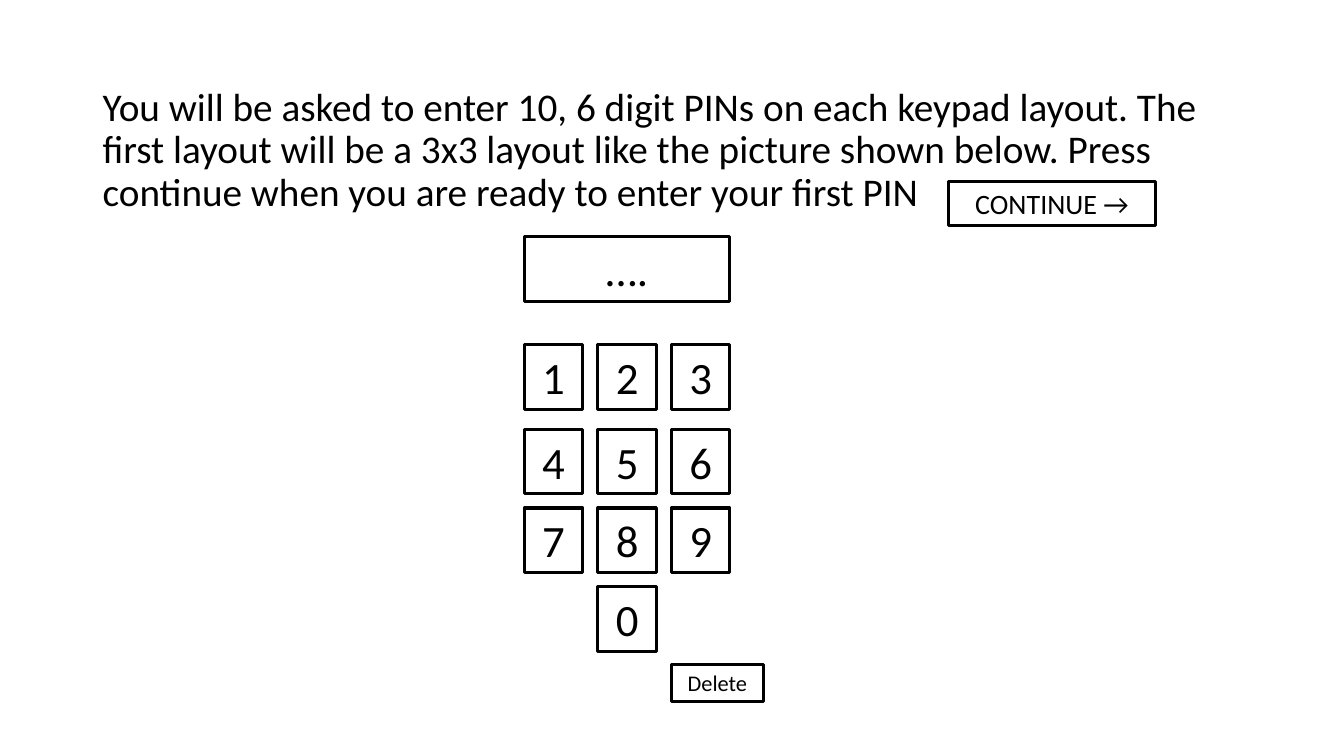
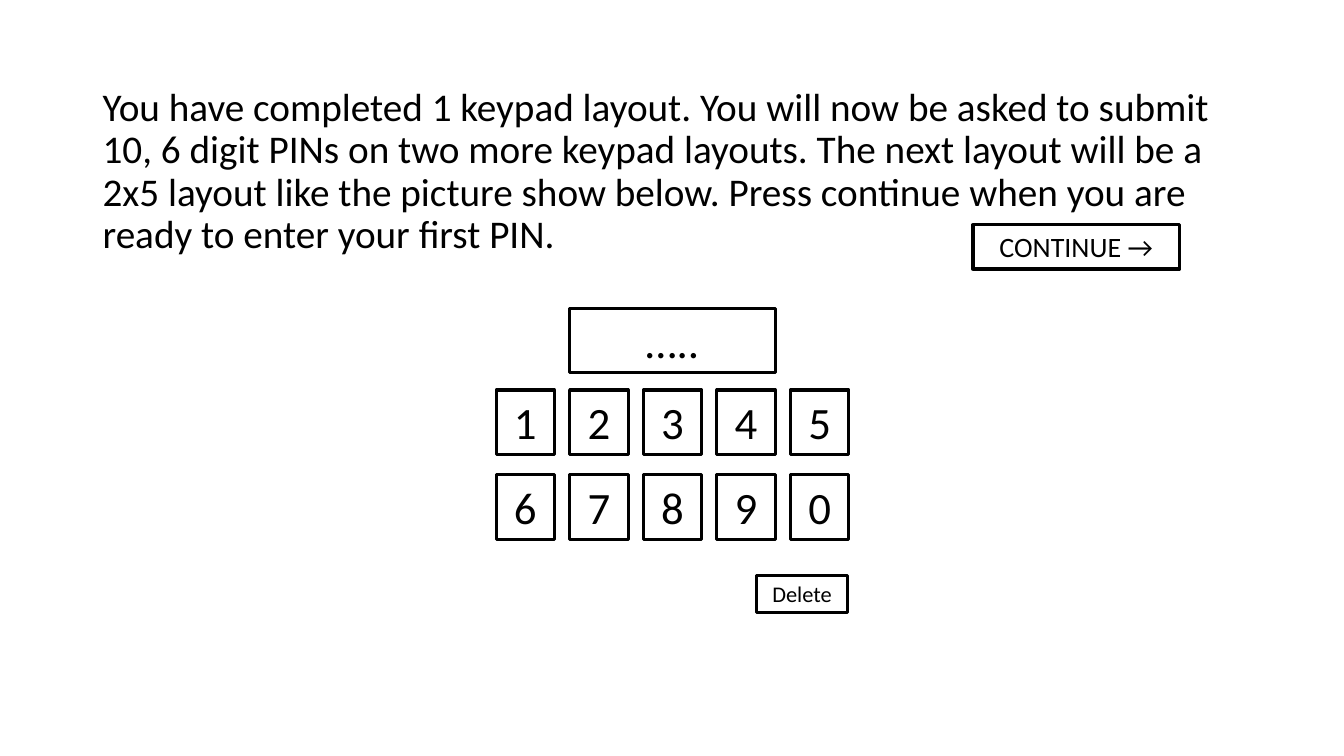
"""Build two slides that introduce the 3x3 and 2x5 PIN keypads."""
from dataclasses import dataclass

from pptx import Presentation
from pptx.dml.color import RGBColor
from pptx.enum.text import MSO_AUTO_SIZE, PP_ALIGN
from pptx.slide import Slide
from pptx.text.text import TextFrame
from pptx.util import Inches, Pt

BLACK = RGBColor(0, 0, 0)
FONT = "Calibri"
STEP = 0.73
KEY_W, KEY_H = 0.58, 0.64


@dataclass(frozen=True)
class Box:
    text: str
    left: float
    top: float
    width: float
    height: float
    size: int = 32


@dataclass(frozen=True)
class Row:
    keys: str
    top: float
    skip: int = 0


@dataclass(frozen=True)
class Page:
    prompt: str
    left: float
    rows: tuple[Row, ...]
    boxes: tuple[Box, ...]


def display(text: str, left: float, top: float) -> Box:
    return Box(text, left, top, 2.04, KEY_H)


def delete(left: float, top: float) -> Box:
    return Box("Delete", left, top, 0.91, 0.37, 16)


def button(left: float, top: float) -> Box:
    return Box("CONTINUE →", left, top, 2.05, 0.44, 20)


PAGES = (
    Page(
        "You will be asked to enter 10, 6 digit PINs on each keypad layout. "
        "The first layout will be a 3x3 layout like the picture shown below. "
        "Press continue when you are ready to enter your first PIN",
        5.2,
        (Row("123", 3.42), Row("456", 4.26), Row("789", 5.04), Row("0", 5.82, 1)),
        (display("….", 5.2, 2.35), delete(6.66, 6.59), button(9.41, 1.8)),
    ),
    Page(
        "You have completed 1 keypad layout. You will now be asked to submit "
        "10, 6 digit PINs on two more keypad layouts. The next layout will be "
        "a 2x5 layout like the picture show below. Press continue when you are "
        "ready to enter your first PIN.",
        4.92,
        (Row("12345", 3.87), Row("67890", 4.71)),
        (display("…..", 5.65, 3.06), delete(7.5, 5.71), button(9.65, 2.23)),
    ),
)


def write(frame: TextFrame, text: str, size: int) -> None:
    frame.word_wrap = True
    run = frame.paragraphs[0].add_run()
    run.text = text
    run.font.name = FONT
    run.font.size = Pt(size)
    run.font.color.rgb = BLACK


def draw_box(slide: Slide, box: Box) -> None:
    shape = slide.shapes.add_textbox(
        Inches(box.left), Inches(box.top), Inches(box.width), Inches(box.height)
    )
    shape.line.color.rgb = BLACK
    shape.line.width = Pt(2.25)
    frame = shape.text_frame
    write(frame, box.text, box.size)
    frame.auto_size = MSO_AUTO_SIZE.SHAPE_TO_FIT_TEXT
    frame.paragraphs[0].alignment = PP_ALIGN.CENTER


def draw_prompt(slide: Slide, text: str) -> None:
    shape = slide.shapes.add_textbox(
        Inches(0.92), Inches(0.82), Inches(11.5), Inches(5.94)
    )
    write(shape.text_frame, text, 28)
    para = shape.text_frame.paragraphs[0]
    para.line_spacing = 0.9
    para.space_before = Pt(10)


def draw_page(slide: Slide, page: Page) -> None:
    draw_prompt(slide, page.prompt)
    for row in page.rows:
        for col, key in enumerate(row.keys, row.skip):
            left = page.left + col * STEP
            draw_box(slide, Box(key, left, row.top, KEY_W, KEY_H))
    for box in page.boxes:
        draw_box(slide, box)


def main() -> None:
    deck = Presentation()
    deck.slide_width = Inches(13.33)
    deck.slide_height = Inches(7.5)
    for page in PAGES:
        draw_page(deck.slides.add_slide(deck.slide_layouts[6]), page)
    deck.save("out.pptx")


if __name__ == "__main__":
    main()
